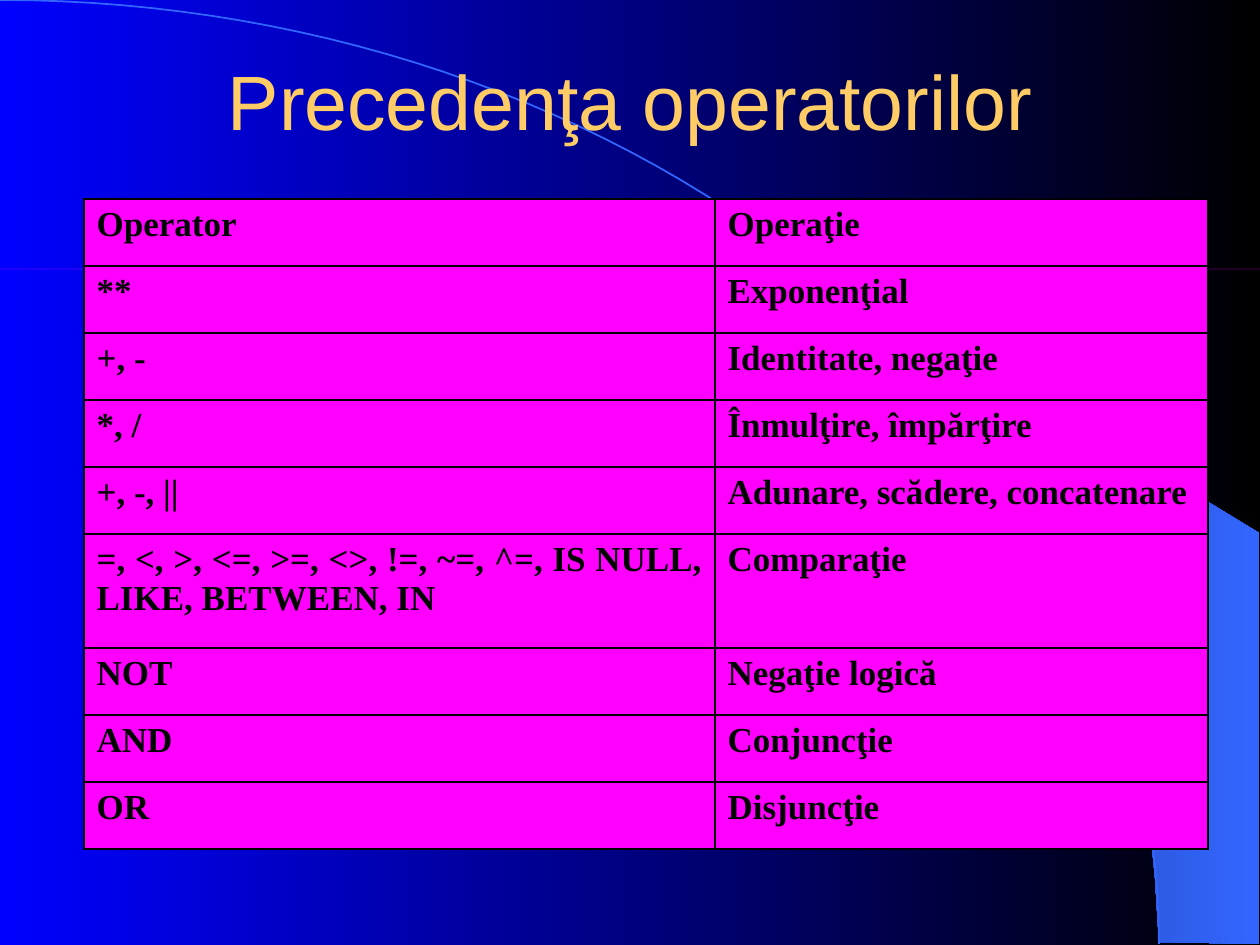
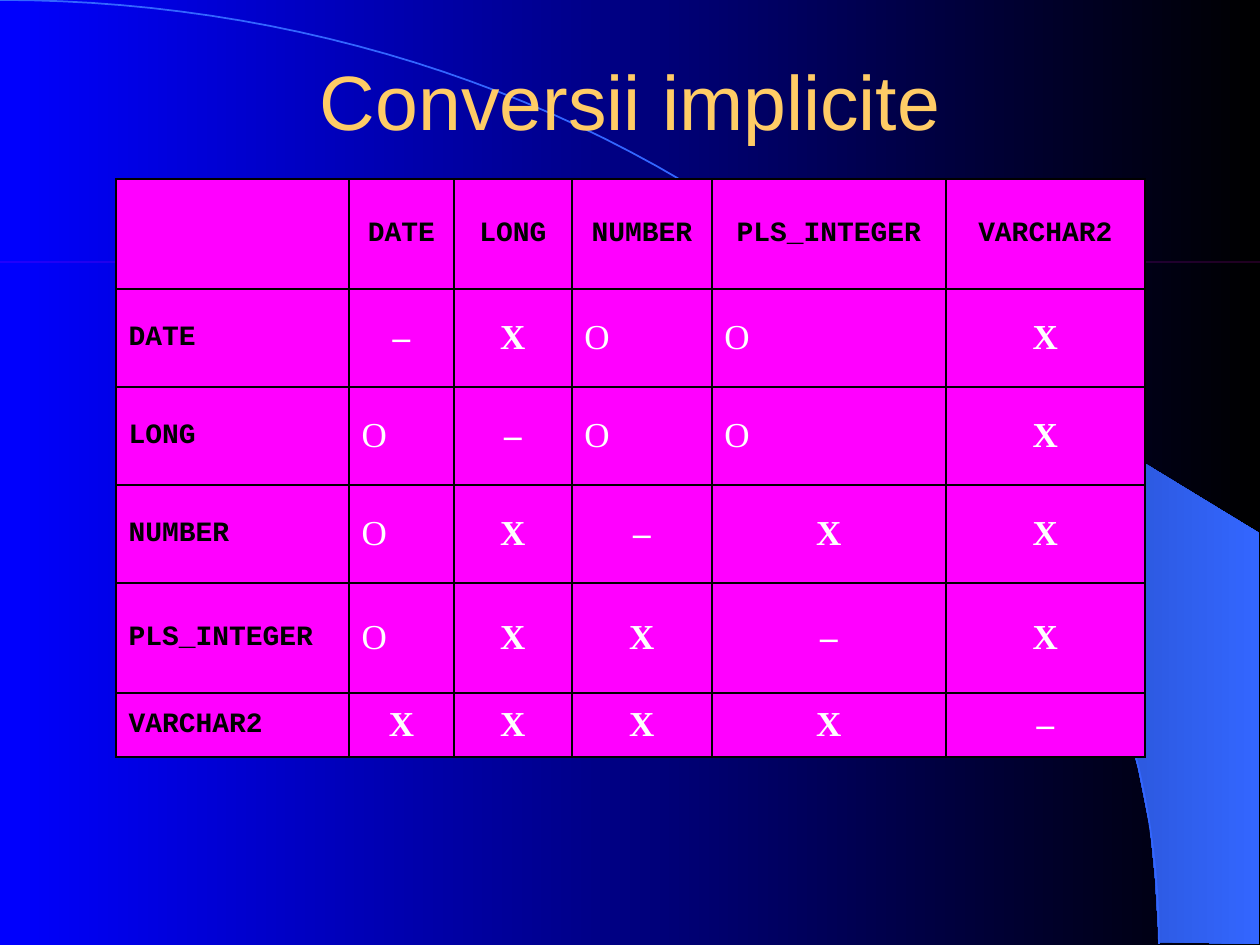
import math

from lxml import etree
from pptx import Presentation
from pptx import util as u
from pptx.dml.color import RGBColor
from pptx.enum import shapes, text
from pptx.oxml.ns import qn

OPERATORS = [
    ("Operator", "Operaţie"),
    ("**", "Exponenţial"),
    ("+, -", "Identitate, negaţie"),
    ("*, /", "Înmulţire, împărţire"),
    ("+, -, ||", "Adunare, scădere, concatenare"),
    ("=, <, >, <=, >=, <>, !=, ~=, ^=, IS NULL, LIKE, BETWEEN, IN", "Comparaţie"),
    ("NOT", "Negaţie logică"),
    ("AND", "Conjuncţie"),
    ("OR", "Disjuncţie"),
]
TYPES = ["DATE", "LONG", "NUMBER", "PLS_INTEGER", "VARCHAR2"]
CONVERSIONS = ["–XOOX", "O–OOX", "OX–XX", "OXX–X", "XXXX–"]

COLORS = {
    "blue": "0000FF",
    "black": "000000",
    "navy": "182F76",
    "azure": "3366FF",
    "gold": "FFCC66",
    "magenta": "FF00FF",
    "white": "FFFFFF",
}
STYLES = {
    "title": {"size": 44, "name": "Arial", "color": "gold", "bold": False},
    "operator": {"size": 20, "name": "Times New Roman", "color": "black", "bold": True},
    "type": {"size": 16, "name": "Courier New", "color": "black", "bold": True},
    "mark": {"size": 20, "name": "Times New Roman", "color": "white", "bold": True},
    "open mark": {"size": 20, "name": "Times New Roman", "color": "white", "bold": False},
}

SCALE = 914400 / 126
PAGE_WIDTH, PAGE_HEIGHT = 1260, 945
TITLE_AREA = {"left": 95, "top": 32, "width": 1071, "height": 136}
ARC_WIDTH, ARC_HEIGHT, ARC_STEPS = 1159, 944, 60
CRESCENT = [
    (1159, 942), (1259, 944), (1259, 533), (742, 218), (786, 251), (823, 280),
    (863, 315), (902, 353), (960, 416), (1012, 484), (1048, 543), (1081, 604),
    (1106, 665), (1125, 721), (1138, 767), (1150, 827), (1155, 877),
]

JUSTIFY, CENTER = text.PP_ALIGN.JUSTIFY, text.PP_ALIGN.CENTER
TOP, MIDDLE = text.MSO_ANCHOR.TOP, text.MSO_ANCHOR.MIDDLE


def px(length):
    return u.Emu(round(length * SCALE))


def rgb(color):
    return RGBColor.from_string(COLORS[color])


def write(frame, content, style, align, anchor):
    frame.text = content
    frame.vertical_anchor = anchor
    para = frame.paragraphs[0]
    para.alignment = align
    for span in para.runs:
        for key, value in STYLES[style].items():
            if key == "color":
                span.font.color.rgb = rgb(value)
            else:
                setattr(span.font, key, u.Pt(value) if key == "size" else value)


def fill_gradient(fill, *colors):
    fill.gradient()
    fill.gradient_angle = 0
    for position, (stop, color) in enumerate(zip(fill.gradient_stops, colors)):
        stop.position = position
        stop.color.rgb = rgb(color)


def draw_outline(page, points, closed):
    start, *rest = [(px(x), px(y)) for x, y in points]
    builder = page.shapes.build_freeform(*start)
    builder.add_line_segments(rest, close=closed)
    outline = builder.convert_to_shape()
    outline.shadow.inherit = False
    return outline


def decorate_layout(layout, page):
    crescent = draw_outline(page, CRESCENT, True)
    fill_gradient(crescent.fill, "navy", "azure")
    crescent.line.fill.background()

    angles = [math.pi / 2 * step / ARC_STEPS for step in range(ARC_STEPS + 1)]
    arc_points = [(ARC_WIDTH * math.sin(a), ARC_HEIGHT * (1 - math.cos(a))) for a in angles]
    arc = draw_outline(page, arc_points, False)
    arc.fill.background()
    arc.line.color.rgb = rgb("azure")
    arc.line.width = u.Pt(1)

    for index, decoration in enumerate((crescent, arc)):
        layout.shapes.element.insert(2 + index, decoration.element)


def add_page(deck, layout, title, rule_top):
    page = deck.slides.add_slide(layout)
    box = page.shapes.title
    for side, length in TITLE_AREA.items():
        setattr(box, side, px(length))
    write(box.text_frame, title, "title", CENTER, MIDDLE)
    rule = page.shapes.add_shape(
        shapes.MSO_SHAPE.RECTANGLE, 0, px(rule_top), px(PAGE_WIDTH), 0)
    rule.shadow.inherit = False
    rule.fill.solid()
    rule.fill.fore_color.rgb = rgb("magenta")
    rule.line.fill.background()
    return page


def add_borders(cell):
    properties = cell._tc.get_or_add_tcPr()
    for side in ("a:lnL", "a:lnR", "a:lnT", "a:lnB"):
        line = etree.SubElement(properties, qn(side), w=str(u.Pt(0.96)))
        solid = etree.SubElement(line, qn("a:solidFill"))
        etree.SubElement(solid, qn("a:srgbClr"), val=COLORS["black"])


def add_grid(page, left, top, widths, heights, cells):
    table = page.shapes.add_table(
        len(heights), len(widths), px(left), px(top), px(sum(widths)), px(sum(heights))).table
    table.first_row = table.horz_banding = False
    for column, width in zip(table.columns, widths):
        column.width = px(width)
    for row, height, contents in zip(table.rows, heights, cells):
        row.height = px(height)
        for cell, content in zip(row.cells, contents):
            add_borders(cell)
            cell.fill.solid()
            cell.fill.fore_color.rgb = rgb("magenta")
            write(cell.text_frame, *content[:3], None)
            cell.vertical_anchor = content[3]


def mark_cell(mark):
    if mark == "O":
        return mark, "open mark", JUSTIFY, MIDDLE
    return mark, "mark", CENTER, MIDDLE


def main():
    deck = Presentation()
    deck.slide_width, deck.slide_height = px(PAGE_WIDTH), px(PAGE_HEIGHT)
    fill_gradient(deck.slide_master.background.fill, "blue", "black")
    layout = deck.slide_layouts.get_by_name("Title Only")

    operators = add_page(deck, layout, "Precedenţa operatorilor", 269)
    decorate_layout(layout, operators)
    operator_cells = [
        [(label, "operator", JUSTIFY, TOP) for label in row] for row in OPERATORS]
    add_grid(operators, 84, 199, [631, 493], [67] * 5 + [114] + [67] * 3, operator_cells)

    conversions = add_page(deck, layout, "Conversii implicite", 262)
    header = [(label, "type", CENTER, MIDDLE) for label in ["", *TYPES]]
    conversion_cells = [header] + [
        [(label, "type", JUSTIFY, MIDDLE), *map(mark_cell, marks)]
        for label, marks in zip(TYPES, CONVERSIONS)]
    add_grid(conversions, 116, 179, [233, 105, 118, 140, 234, 199],
             [110, 98, 98, 98, 110, 64], conversion_cells)

    deck.save("out.pptx")


if __name__ == "__main__":
    main()
